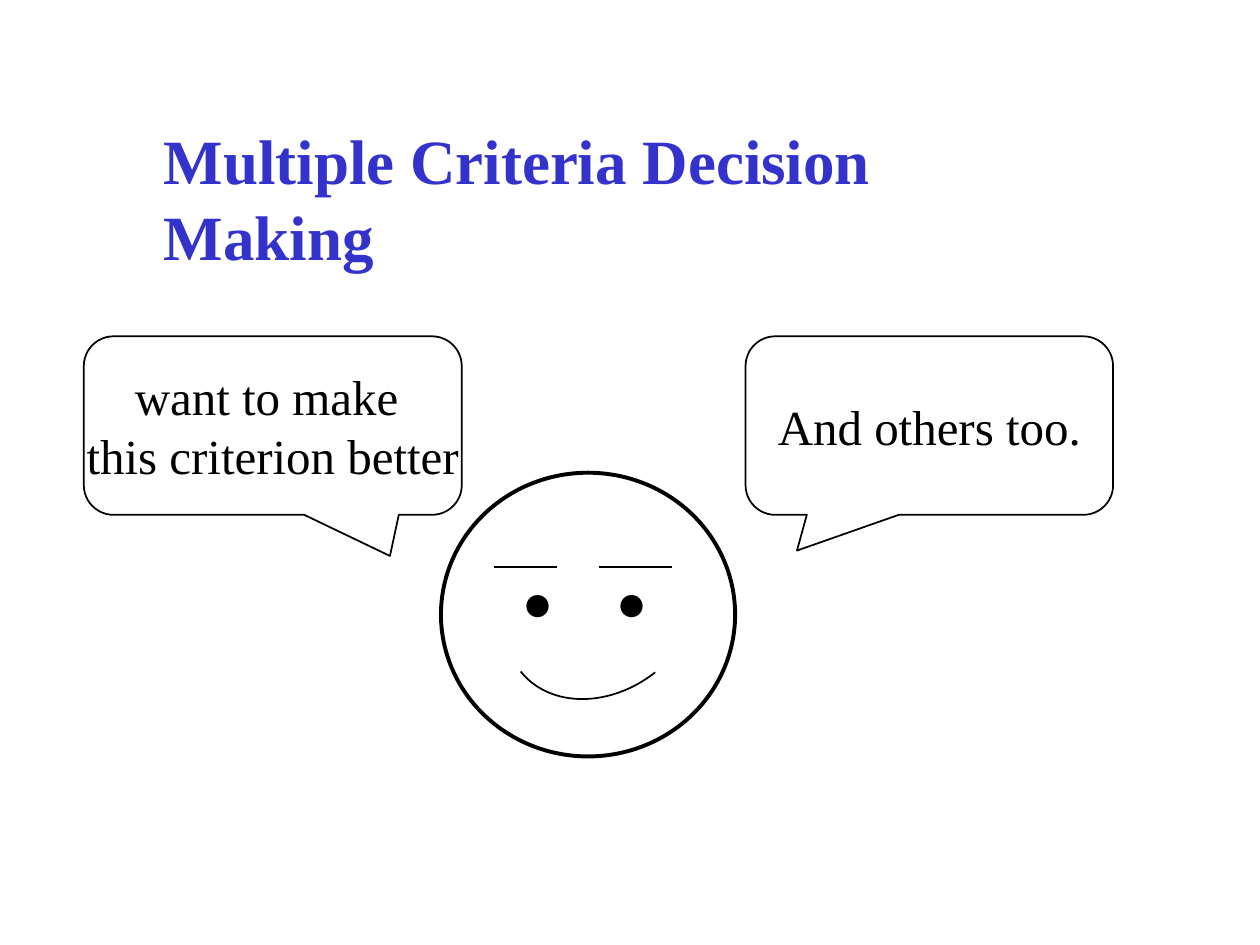
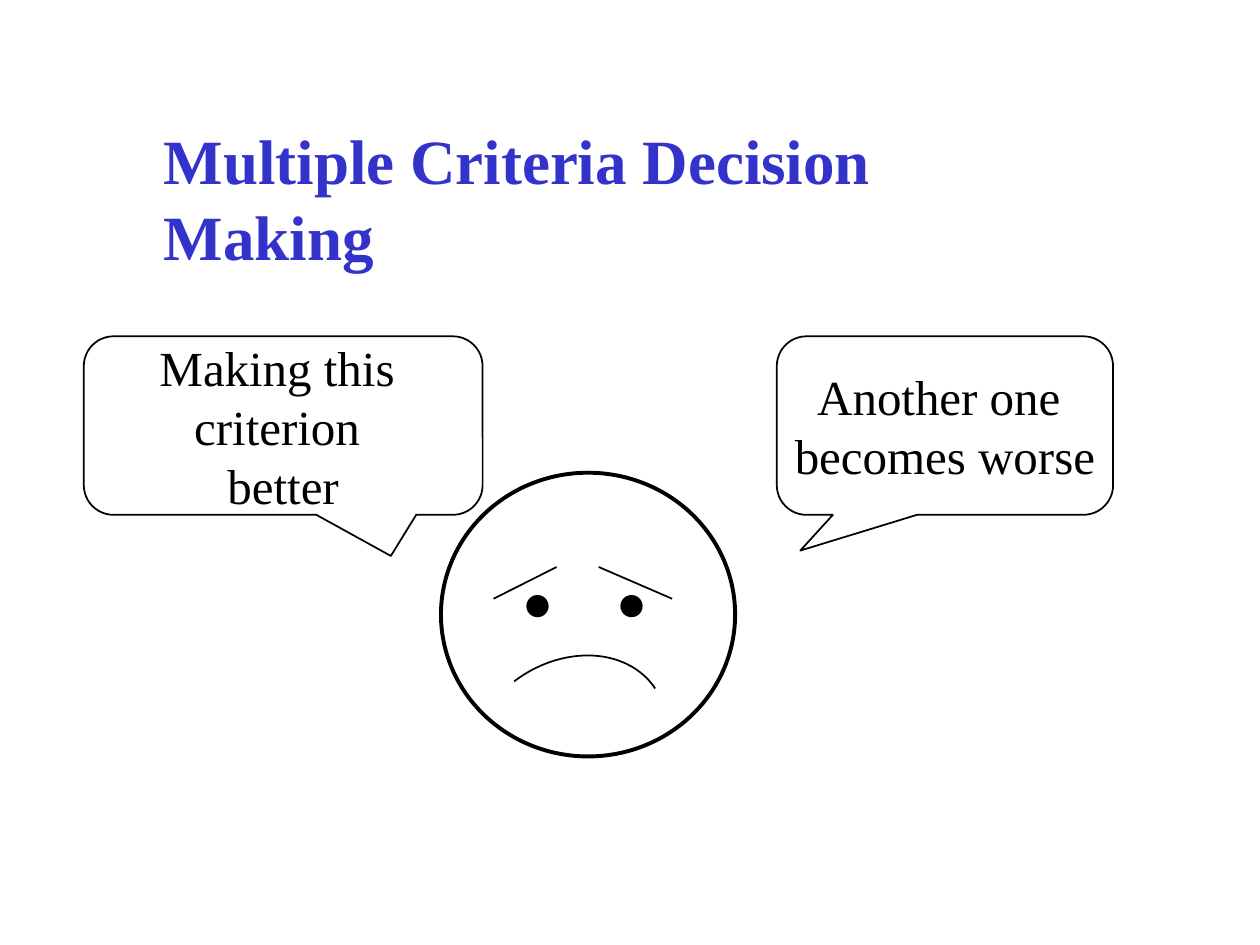
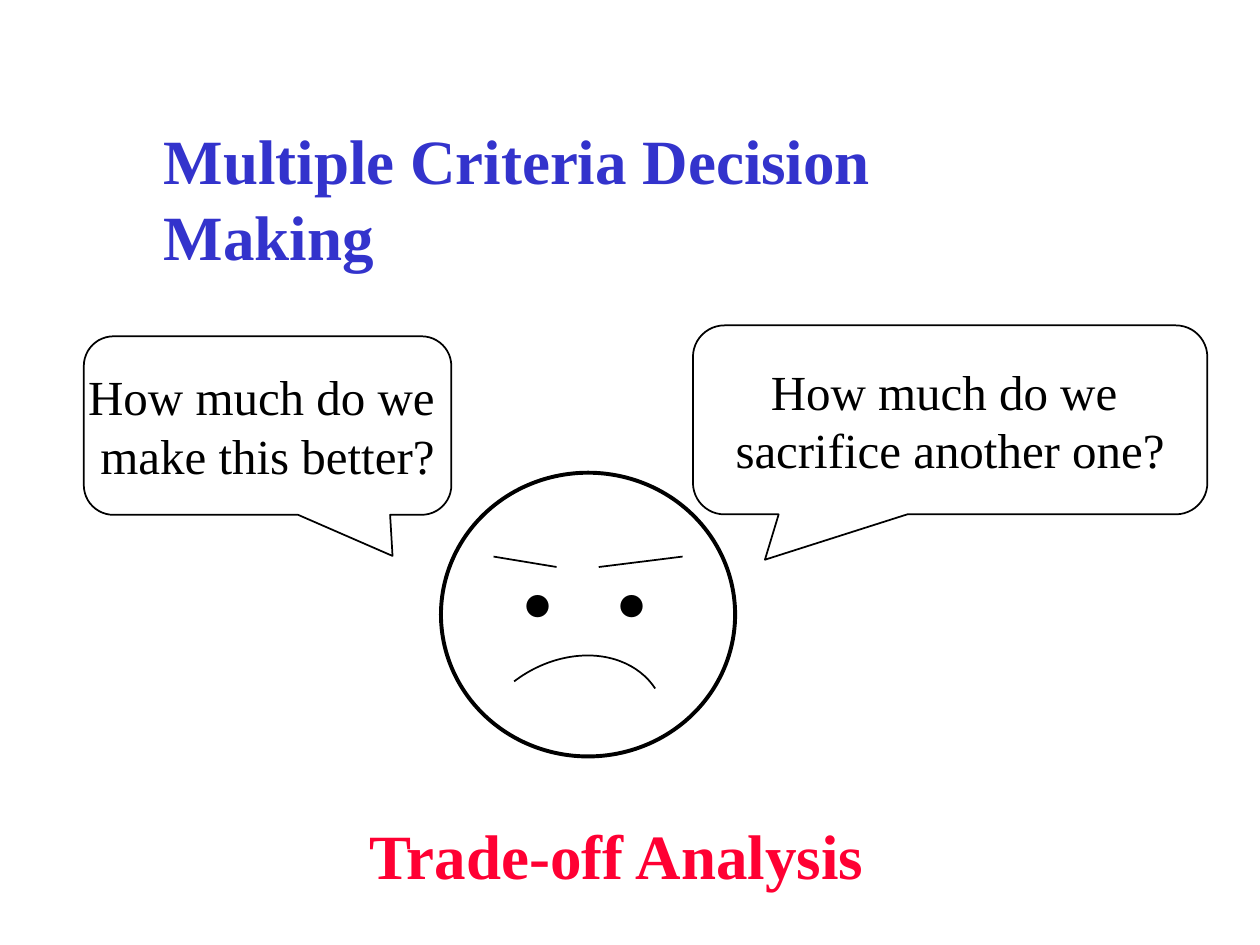
from dataclasses import dataclass
from typing import NamedTuple

from lxml.etree import SubElement
from pptx import Presentation
from pptx.dml.color import RGBColor
from pptx.enum.shapes import MSO_CONNECTOR, MSO_SHAPE
from pptx.enum.text import MSO_ANCHOR, MSO_AUTO_SIZE, PP_ALIGN
from pptx.oxml.ns import qn
from pptx.util import Cm, Pt


@dataclass(frozen=True)
class Theme:
    font: str = "Times New Roman"
    ink: RGBColor = RGBColor(0x00, 0x00, 0x00)
    title: RGBColor = RGBColor(0x33, 0x33, 0xCC)
    accent: RGBColor = RGBColor(0xFF, 0x00, 0x33)
    title_size: int = 36
    speech_size: int = 28
    eye_size: int = 60
    thin: float = 1
    thick: float = 2.25


class Box(NamedTuple):
    """Left, top, width and height in centimetres."""
    left: float
    top: float
    width: float
    height: float

    def emu(self) -> list:
        return [Cm(v) for v in self]


class Line(NamedTuple):
    """Start and end points in centimetres."""
    x1: float
    y1: float
    x2: float
    y2: float


class Mouth(NamedTuple):
    """An arc of a rotated ellipse; angles in degrees."""
    box: Box
    rotation: float
    start: float
    end: float


class Speech(NamedTuple):
    box: Box
    tail: tuple
    lines: tuple


class Scene(NamedTuple):
    brows: tuple
    mouth: Mouth
    speeches: tuple
    conclusion: str = ""


THEME = Theme()
TITLE = "Multiple Criteria Decision Making"
TITLE_BOX = Box(3.05, 2.33, 19.3, 1.78)
CONCLUSION_BOX = Box(7.2, 16.33, 12.27, 1.78)
HEAD = Box(8.89, 9.53, 5.93, 5.72)
EYES = (Box(9.53, 10.8, 2.75, 2.79), Box(11.43, 10.8, 2.75, 2.79))
SMILE = Mouth(Box(10.46, 10.11, 3.39, 4.23), 51.6, 0, 90)
FROWN = Mouth(Box(9.75, 12.93, 3.39, 4.23), 236.5, 354, 90)
ARC_UNITS_PER_DEGREE = 0.6

SCENES = (
    Scene(
        (Line(9.95, 11.43, 11.22, 11.43), Line(12.07, 11.43, 13.55, 11.43)),
        SMILE,
        (Speech(Box(15.03, 6.78, 7.41, 3.6), (-0.36, 0.7), ("And others too.",)),
         Speech(Box(1.69, 6.78, 7.62, 3.6), (0.31, 0.73),
                ("want to make ", "this criterion better"))),
    ),
    Scene(
        (Line(9.95, 12.07, 11.22, 11.43), Line(12.07, 11.43, 13.55, 12.07)),
        FROWN,
        (Speech(Box(15.66, 6.78, 6.78, 3.6), (-0.43, 0.7),
                ("Another one ", "becomes worse")),
         Speech(Box(1.69, 6.78, 8.04, 3.6), (0.27, 0.73),
                ("Making this ", "criterion ", "better"))),
    ),
    Scene(
        (Line(9.95, 11.22, 11.22, 11.43), Line(12.07, 11.43, 13.76, 11.22)),
        FROWN,
        (Speech(Box(13.97, 6.56, 10.37, 3.81), (-0.36, 0.74),
                ("How much do we ", "sacrifice another one?")),
         Speech(Box(1.69, 6.78, 7.41, 3.6), (0.34, 0.73),
                ("How much do we ", "make this better?"))),
        "Trade-off Analysis",
    ),
)


def write(tf, lines: tuple, size: float, color: RGBColor, bold: bool = False,
          align=PP_ALIGN.LEFT, anchor=MSO_ANCHOR.TOP, wrap: bool = True) -> None:
    tf.auto_size = MSO_AUTO_SIZE.NONE
    tf.word_wrap = wrap
    tf.vertical_anchor = anchor
    tf.text = "\n".join(lines)
    for p in tf.paragraphs:
        p.alignment = align
        p.font.name = THEME.font
        p.font.size = Pt(size)
        p.font.bold = bold
        p.font.color.rgb = color


def add_text(slide, box: Box, text: str, size: float, color: RGBColor,
             bold: bool = False) -> None:
    sp = slide.shapes.add_textbox(*box.emu())
    write(sp.text_frame, (text,), size, color, bold)


def add_outline(slide, kind, box: Box, width: float = THEME.thin):
    """Add an unfilled preset shape with an ink outline."""
    sp = slide.shapes.add_shape(kind, *box.emu())
    sp.shadow.inherit = False
    sp.fill.background()
    sp.line.color.rgb = THEME.ink
    sp.line.width = Pt(width)
    return sp


def add_brow(slide, line: Line) -> None:
    cxn = slide.shapes.add_connector(MSO_CONNECTOR.STRAIGHT, *(Cm(v) for v in line))
    cxn.line.color.rgb = THEME.ink
    cxn.line.width = Pt(THEME.thin)
    SubElement(cxn._element.spPr, qn("a:effectLst"))


def add_face(slide, brows: tuple, mouth: Mouth) -> None:
    add_outline(slide, MSO_SHAPE.OVAL, HEAD, THEME.thick)
    for brow in brows:
        add_brow(slide, brow)
    for eye in EYES:
        add_text(slide, eye, "・", THEME.eye_size, THEME.ink)
    arc = add_outline(slide, MSO_SHAPE.ARC, mouth.box)
    arc.rotation = mouth.rotation
    for i, angle in enumerate((mouth.start, mouth.end)):
        arc.adjustments[i] = angle * ARC_UNITS_PER_DEGREE


def add_speech(slide, speech: Speech) -> None:
    sp = add_outline(slide, MSO_SHAPE.ROUNDED_RECTANGULAR_CALLOUT, speech.box)
    sp.adjustments[0], sp.adjustments[1] = speech.tail
    write(sp.text_frame, speech.lines, THEME.speech_size, THEME.ink,
          align=PP_ALIGN.CENTER, anchor=MSO_ANCHOR.MIDDLE, wrap=False)


def add_scene(prs, scene: Scene) -> None:
    slide = prs.slides.add_slide(prs.slide_layouts[5])
    title = slide.shapes.title
    title.left, title.top, title.width, title.height = TITLE_BOX.emu()
    write(title.text_frame, (TITLE,), THEME.title_size, THEME.title, True, wrap=False)
    add_face(slide, scene.brows, scene.mouth)
    for speech in scene.speeches:
        add_speech(slide, speech)
    if scene.conclusion:
        add_text(slide, CONCLUSION_BOX, scene.conclusion, THEME.title_size,
                 THEME.accent, bold=True)


def main() -> None:
    prs = Presentation()
    prs.slide_width, prs.slide_height = Cm(25.4), Cm(19.05)
    for scene in SCENES:
        add_scene(prs, scene)
    prs.save("out.pptx")


if __name__ == "__main__":
    main()
